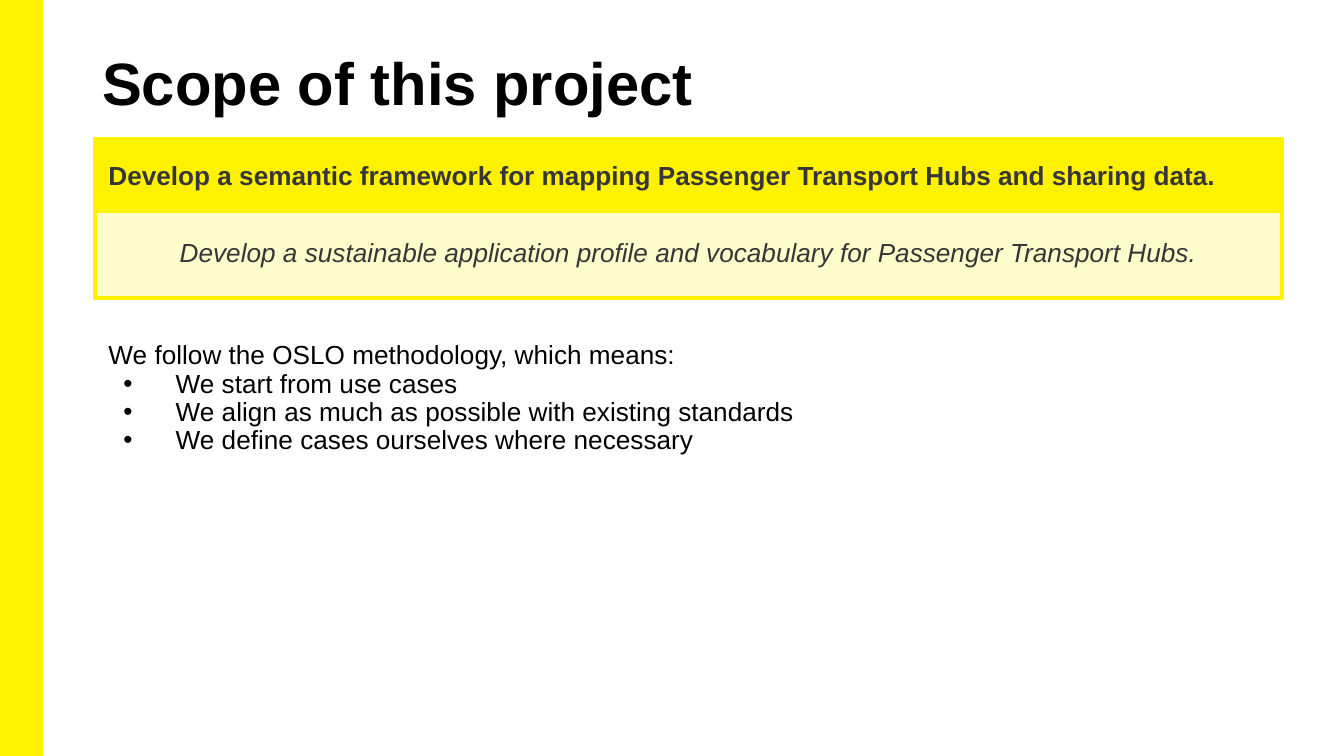
from lxml import etree
from pptx import Presentation
from pptx.dml.color import RGBColor
from pptx.enum.shapes import MSO_SHAPE
from pptx.enum.text import MSO_ANCHOR, MSO_AUTO_SIZE, PP_ALIGN
from pptx.oxml.ns import qn
from pptx.util import Cm, Pt

RECT = MSO_SHAPE.RECTANGLE
TOP, MIDDLE = MSO_ANCHOR.TOP, MSO_ANCHOR.MIDDLE
LEFT, CENTER = PP_ALIGN.LEFT, PP_ALIGN.CENTER
NO_FIT = MSO_AUTO_SIZE.NONE

COLORS = {"yellow": "FFF200", "cream": "FFFCCC", "grey": "373636", "black": "000000"}


class SlideBuilder:
    font = "Arial"
    size = 14

    def __init__(self, prs):
        self.slide = prs.slides.add_slide(prs.slide_layouts[1])

    def color(self, name):
        return RGBColor.from_string(COLORS[name])

    def place(self, sp, x, y, w, h):
        sp.left, sp.top, sp.width, sp.height = Cm(x), Cm(y), Cm(w), Cm(h)

    def frame(self, sp, margins=(0.25, 0.13), anchor=TOP):
        tf = sp.text_frame
        tf.word_wrap = True
        tf.auto_size = NO_FIT
        tf.vertical_anchor = anchor
        tf.margin_left = tf.margin_right = Cm(margins[0])
        tf.margin_top = tf.margin_bottom = Cm(margins[1])
        return tf

    def set_text(self, p, text, color="black", size=None, bold=False, italic=False, align=LEFT):
        p.text = text
        p.alignment = align
        for r in p.runs:
            r.font.name = self.font
            r.font.size = Pt(size or self.size)
            r.font.bold, r.font.italic = bold, italic
            r.font.color.rgb = self.color(color)

    def bullet(self, p, indent=None, hanging=0):
        pPr = p._p.get_or_add_pPr()
        pPr.set("marL", str(Cm(indent or 0)))
        pPr.set("indent", str(-Cm(hanging)))
        if indent is None:
            etree.SubElement(pPr, qn("a:buNone"))
            return
        clr = etree.SubElement(pPr, qn("a:buClr"))
        etree.SubElement(clr, qn("a:srgbClr"), val=COLORS["black"])
        etree.SubElement(pPr, qn("a:buFont"), typeface=self.font)
        etree.SubElement(pPr, qn("a:buChar"), char="•")

    def rect(self, x, y, w, h, fill, line_width):
        sp = self.slide.shapes.add_shape(RECT, Cm(x), Cm(y), Cm(w), Cm(h))
        sp.shadow.inherit = False
        sp.fill.solid()
        sp.fill.fore_color.rgb = self.color(fill)
        sp.line.color.rgb = self.color("yellow")
        sp.line.width = Pt(line_width)
        return sp

    def text_box(self, x, y, w, h, text, **style):
        sp = self.slide.shapes.add_textbox(Cm(x), Cm(y), Cm(w), Cm(h))
        self.set_text(self.frame(sp).paragraphs[0], text, **style)

    def title(self, x, y, w, h, text):
        sp = self.slide.shapes.title
        self.place(sp, x, y, w, h)
        tf = self.frame(sp, margins=(0.18, 0.1))
        self.set_text(tf.paragraphs[0], text, size=32, bold=True)

    def body(self, x, y, w, h, intro, items):
        sp = self.slide.placeholders[1]
        self.place(sp, x, y, w, h)
        tf = self.frame(sp, margins=(0.25, 0.25))
        for i, text in enumerate([intro, *items]):
            p = tf.add_paragraph() if i else tf.paragraphs[0]
            p.line_spacing = 0.9
            p.space_before = Pt(0)
            if i:
                self.bullet(p, indent=1.27, hanging=0.99)
            else:
                self.bullet(p)
            self.set_text(p, text)


def main():
    prs = Presentation()
    prs.slide_width, prs.slide_height = Cm(25.4), Cm(14.29)
    s = SlideBuilder(prs)
    x, w = 1.8, 22.43

    # Side band and title
    s.rect(0, 0, 0.8, 14.29, "yellow", 1)
    s.title(1.75, 0.76, 21.9, 1.83, "Scope of this project")

    # Goal panel: light lower part, then yellow heading
    s.rect(x, 3.96, w, 1.68, "cream", 2)
    heading = s.rect(x, 2.62, w, 1.37, "yellow", 2)
    s.set_text(s.frame(heading, anchor=MIDDLE).paragraphs[0],
               "Develop a semantic framework for mapping Passenger Transport Hubs and sharing data.",
               color="grey", bold=True)
    s.text_box(x, 4.34, w, 0.86,
               "Develop a sustainable application profile and vocabulary for Passenger Transport Hubs.",
               color="grey", italic=True, align=CENTER)

    # Methodology list
    s.body(x, 6.22, 22.33, 6.81, "We follow the OSLO methodology, which means:", [
        "We start from use cases",
        "We align as much as possible with existing standards",
        "We define cases ourselves where necessary",
    ])

    prs.save("out.pptx")


if __name__ == "__main__":
    main()
